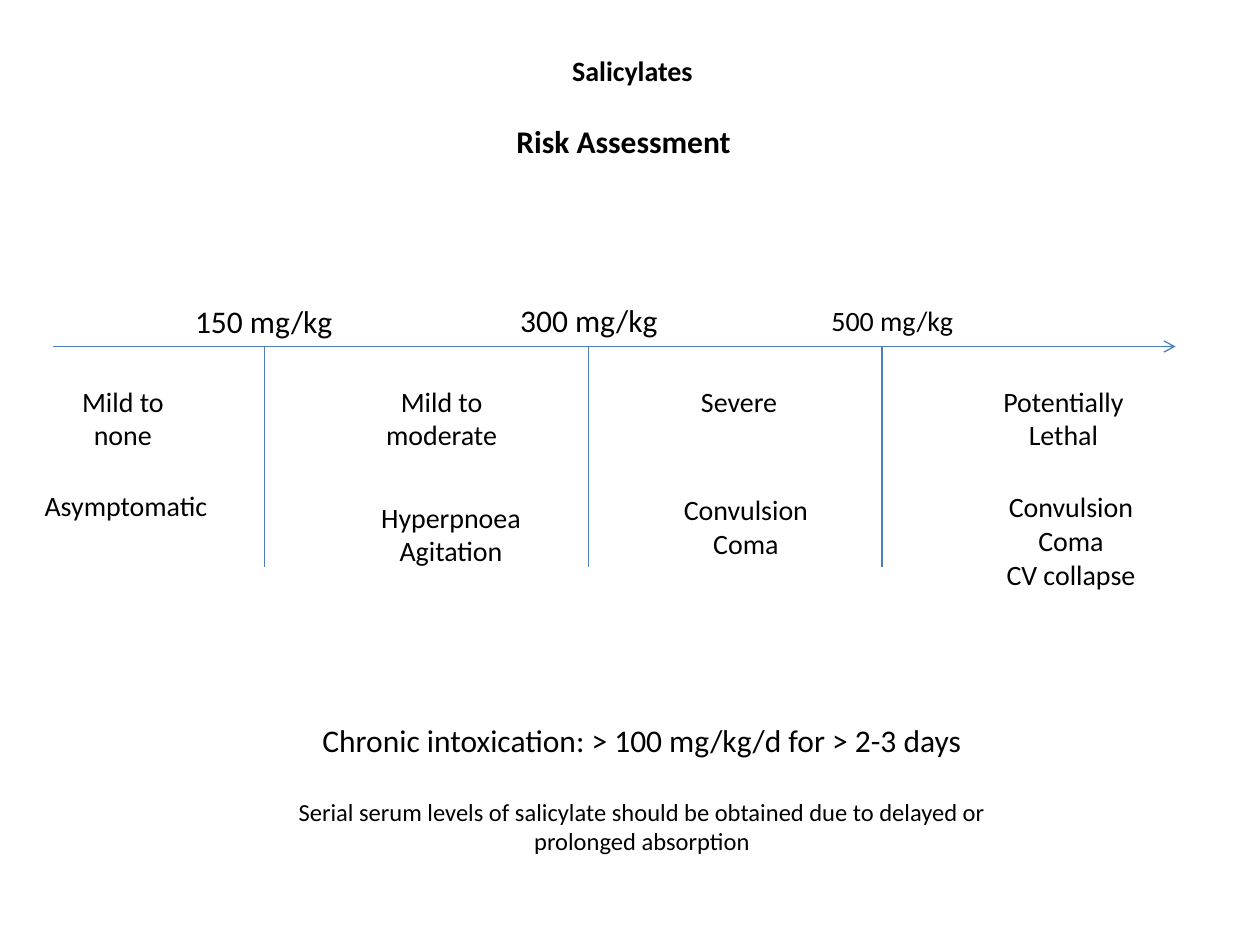
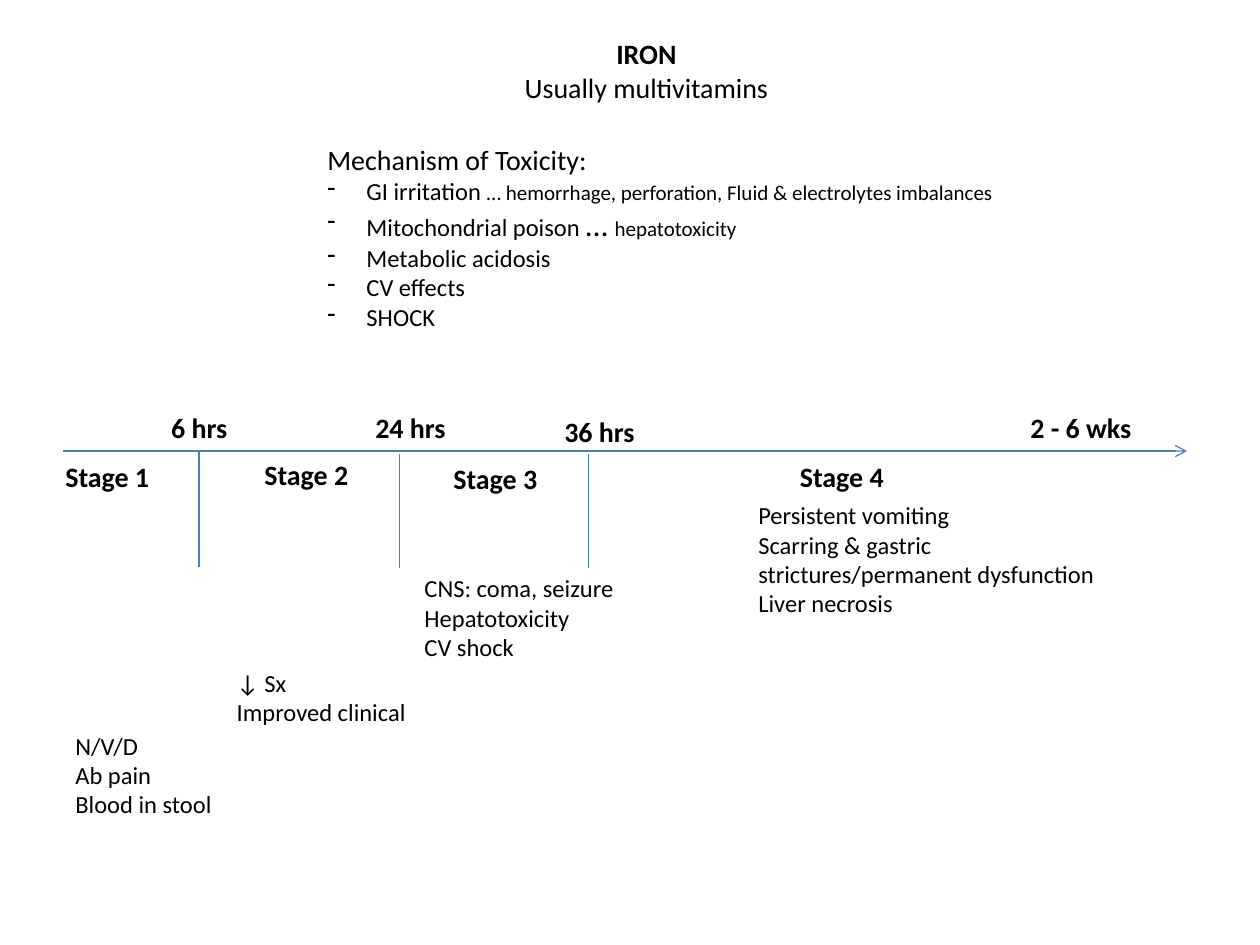
from dataclasses import dataclass
from typing import Optional, Sequence, Union

import lxml.etree
import pptx
import pptx.dml.color
import pptx.enum.shapes
import pptx.enum.text
import pptx.oxml.ns
import pptx.presentation
import pptx.slide
import pptx.text.text
import pptx.util
from pptx.util import Inches

BLACK = pptx.dml.color.RGBColor(0x00, 0x00, 0x00)
LINE_BLUE = pptx.dml.color.RGBColor(0x4B, 0x7E, 0xBC)
FONT_NAME = "Calibri"
LABEL_SIZE = 16
DETAIL_SIZE = 14
LINE_SPACING = 1.22
LEFT = pptx.enum.text.PP_ALIGN.LEFT
CENTER = pptx.enum.text.PP_ALIGN.CENTER
BLANK_LAYOUT = 6


@dataclass(frozen=True)
class Run:
    text: str
    size: Optional[float] = None
    bold: Optional[bool] = None


@dataclass(frozen=True)
class Paragraph:
    runs: Sequence[Run]
    dash: bool = False
    space_before: float = 0


@dataclass(frozen=True)
class Label:
    """Lines of text in a box; rows counts the lines after wrapping."""
    lines: Sequence[Union[str, Paragraph]]
    left: float
    top: float
    width: float
    rows: int = 1
    size: float = LABEL_SIZE
    wrap: bool = True


@dataclass(frozen=True)
class Divider:
    x: float
    top: float
    bottom: float


def qualified(tag: str) -> str:
    return pptx.oxml.ns.qn(tag)


def add_dash(paragraph: pptx.text.text._Paragraph) -> None:
    properties = paragraph._p.get_or_add_pPr()
    properties.set("marL", str(Inches(0.31)))
    properties.set("indent", str(-Inches(0.31)))
    bullet = lxml.etree.SubElement(properties, qualified("a:buChar"))
    bullet.set("char", "-")


def add_text(
    slide: pptx.slide.Slide,
    label: Label,
    bold: bool = False,
    align: pptx.enum.text.PP_ALIGN = LEFT,
    height: Optional[float] = None,
    middle: bool = False,
) -> None:
    """Draw a text box, as tall as its rows unless a height is given."""
    if height is None:
        height = 0.1 + label.rows * label.size * LINE_SPACING / 72
    shape = slide.shapes.add_textbox(
        Inches(label.left), Inches(label.top), Inches(label.width), Inches(height)
    )
    frame = shape.text_frame
    frame.word_wrap = label.wrap
    if middle:
        frame.vertical_anchor = pptx.enum.text.MSO_ANCHOR.MIDDLE
    else:
        frame.auto_size = pptx.enum.text.MSO_AUTO_SIZE.SHAPE_TO_FIT_TEXT
    for index, line in enumerate(label.lines):
        content = Paragraph([Run(line)]) if isinstance(line, str) else line
        paragraph = frame.add_paragraph() if index else frame.paragraphs[0]
        if content.dash:
            add_dash(paragraph)
        paragraph.alignment = align
        if content.space_before:
            paragraph.space_before = pptx.util.Pt(content.space_before)
        for piece in content.runs:
            run = paragraph.add_run()
            run.text = piece.text
            run.font.name = FONT_NAME
            run.font.size = pptx.util.Pt(piece.size or label.size)
            run.font.bold = bold if piece.bold is None else piece.bold
            run.font.color.rgb = BLACK


def add_line(
    slide: pptx.slide.Slide,
    start: tuple[float, float],
    end: tuple[float, float],
    arrow: bool = False,
) -> None:
    connector = slide.shapes.add_connector(
        pptx.enum.shapes.MSO_CONNECTOR.STRAIGHT,
        *(Inches(value) for value in start + end),
    )
    connector.line.color.rgb = LINE_BLUE
    connector.line.width = pptx.util.Pt(0.75)
    if arrow:
        tail = lxml.etree.SubElement(
            connector.line._get_or_add_ln(), qualified("a:tailEnd")
        )
        tail.set("type", "arrow")
    lxml.etree.SubElement(connector._element.spPr, qualified("a:effectLst"))


def add_timeline(
    slide: pptx.slide.Slide,
    left: float,
    right: float,
    y: float,
    dividers: Sequence[Divider],
) -> None:
    add_line(slide, (left, y), (right, y), arrow=True)
    for divider in dividers:
        add_line(slide, (divider.x, divider.top), (divider.x, divider.bottom))


def build_salicylates(presentation: pptx.presentation.Presentation) -> None:
    slide = presentation.slides.add_slide(presentation.slide_layouts[BLANK_LAYOUT])

    # Headings
    add_text(slide, Label(["Salicylates"], 4.25, 0.25, 1.54),
             bold=True, align=CENTER, height=0.62, middle=True)
    add_text(slide, Label(["Risk Assessment"], 4, 0.92, 2, size=18), bold=True)

    # Dose axis with its thresholds
    add_timeline(slide, 0.42, 9.33, 2.75,
                 [Divider(x, 2.75, 4.5) for x in (2.1, 4.67, 7)])
    thresholds = [
        Label(["150 mg/kg"], 1.45, 2.35, 1.3, size=18, wrap=False),
        Label(["300 mg/kg"], 4.03, 2.34, 1.3, size=18, wrap=False),
        Label(["500 mg/kg"], 6.5, 2.36, 1.25),
    ]
    for threshold in thresholds:
        add_text(slide, threshold)

    # Severity and signs for each dose range
    severities = [
        Label(["Mild to none"], 0.5, 3, 0.95, rows=2),
        Label(["Mild to moderate"], 2.92, 3, 1.17, rows=2),
        Label(["Severe"], 5.39, 3, 0.95),
        Label(["Potentially Lethal"], 7.8, 3, 1.28, rows=2),
    ]
    signs = [
        Label(["Asymptomatic"], 0.25, 3.83, 1.5),
        Label(["Hyperpnoea", "Agitation"], 2.83, 3.92, 1.5, rows=2),
        Label(["Convulsion", "Coma"], 5.17, 3.86, 1.5, rows=2),
        Label(["Convulsion", "Coma", "CV collapse"], 7.75, 3.84, 1.5, rows=3),
    ]
    for label in severities + signs:
        add_text(slide, label, align=CENTER)

    # Chronic intoxication note
    serial_levels = Run(
        "Serial serum levels of salicylate should be obtained "
        "due to delayed or prolonged absorption", DETAIL_SIZE)
    note = ["Chronic intoxication: > 100 mg/kg/d for > 2-3 days",
            Paragraph([serial_levels], space_before=22)]
    add_text(slide, Label(note, 2.1, 5.67, 5.99, size=18),
             align=CENTER, height=1.18)


def build_iron(presentation: pptx.presentation.Presentation) -> None:
    slide = presentation.slides.add_slide(presentation.slide_layouts[BLANK_LAYOUT])

    # Heading
    heading = ["IRON", Paragraph([Run("Usually multivitamins", bold=False)])]
    add_text(slide, Label(heading, 3.42, 0.25, 3.42),
             bold=True, align=CENTER, height=0.62, middle=True)

    # Mechanism of toxicity
    mechanisms = [
        [Run("GI irritation "),
         Run("… hemorrhage, perforation, Fluid & electrolytes imbalances", 12)],
        [Run("Mitochondrial poison "), Run("… ", 18), Run("hepatotoxicity", 12)],
        [Run("Metabolic acidosis")],
        [Run("CV effects")],
        [Run("SHOCK")],
    ]
    lines = [Paragraph([Run("Mechanism of Toxicity:", LABEL_SIZE)])]
    lines += [Paragraph(runs, dash=True) for runs in mechanisms]
    add_text(slide, Label(lines, 2.5, 1.08, 6.08, size=DETAIL_SIZE), height=1.62)

    # Time axis with its stages
    add_timeline(slide, 0.5, 9.42, 3.58, [
        Divider(1.58, 3.58, 4.5),
        Divider(3.17, 3.6, 4.51),
        Divider(4.67, 3.6, 4.51),
    ])
    times = [
        Label(["6 hrs"], 1.26, 3.21, 0.75),
        Label(["24 hrs"], 2.88, 3.21, 0.79),
        Label(["36 hrs"], 4.38, 3.24, 0.88),
        Label(["2 - 6 wks"], 8.08, 3.21, 1.17),
    ]
    stage_places = [(0.42, 3.6), (2, 3.58), (3.5, 3.61), (6.25, 3.6)]
    stages = [
        Label([f"Stage {number}"], left, top, 0.92)
        for number, (left, top) in enumerate(stage_places, start=1)
    ]
    for label in times + stages:
        add_text(slide, label, bold=True)

    # Findings at each stage
    findings = [
        Label(["N/V/D", "Ab pain", "Blood in stool"],
              0.5, 5.75, 1.33, rows=3, size=DETAIL_SIZE),
        Label(["↓ Sx", "Improved clinical"],
              1.78, 5.25, 1.64, rows=2, size=DETAIL_SIZE),
        Label(["CNS: coma, seizure", "Hepatotoxicity", "CV shock"],
              3.27, 4.5, 1.82, rows=3, size=DETAIL_SIZE),
        Label(["Persistent vomiting",
               "Scarring & gastric strictures/permanent dysfunction",
               "Liver necrosis"],
              5.92, 3.92, 3, rows=4, size=DETAIL_SIZE),
    ]
    for finding in findings:
        add_text(slide, finding)


def main() -> None:
    presentation = pptx.Presentation()
    presentation.slide_width = Inches(10)
    presentation.slide_height = Inches(7.5)
    build_salicylates(presentation)
    build_iron(presentation)
    presentation.save("out.pptx")


if __name__ == "__main__":
    main()
